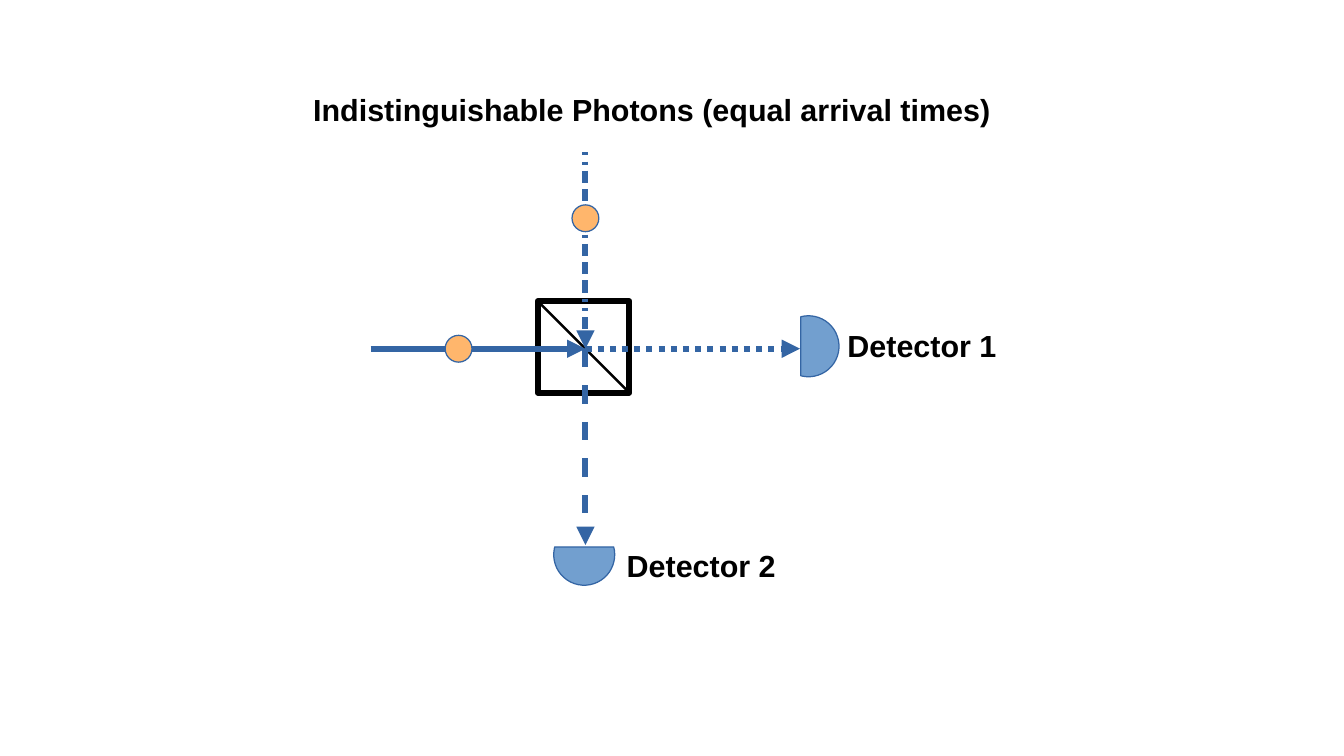
import dataclasses

import lxml.etree
import pptx
import pptx.dml.color
import pptx.enum.shapes
import pptx.enum.text
import pptx.oxml.ns
import pptx.util

Inches = pptx.util.Inches
Pt = pptx.util.Pt
Shape = pptx.enum.shapes.MSO_SHAPE


@dataclasses.dataclass(frozen=True)
class Theme:
    ink: str = "000000"
    beam: str = "3465A4"
    detector: str = "729FCF"
    photon: str = "FFB66C"
    font: str = "Arial"
    text_size: float = 18
    heavy: float = 3.6
    thin: float = 1.45
    hairline: float = 0


THEME = Theme()

# Dash and gap lengths in multiples of the line width
DOTTED = [(1, 1)]
DASHED = [(3, 3)]
DOT_DASH = [(0.5, 1)] * 2 + [(2, 1)] * 3


def color(value):
    return pptx.dml.color.RGBColor.from_string(value)


def add_xml(parent, tag, **attributes):
    return lxml.etree.SubElement(parent, pptx.oxml.ns.qn(tag), attributes)


def set_line(shape, line_color, width):
    shape.line.color.rgb = color(line_color)
    shape.line.width = Pt(width)


def add_line(page, start, end, line_color, width, dashes=(), arrow=False):
    line = page.shapes.add_connector(
        pptx.enum.shapes.MSO_CONNECTOR.STRAIGHT,
        *(Inches(value) for value in (*start, *end)))
    set_line(line, line_color, width)
    outline = line.line._get_or_add_ln()
    if dashes:
        pattern = add_xml(outline, "a:custDash")
        for dash, gap in dashes:
            add_xml(pattern, "a:ds", d=str(int(dash * 100000)),
                    sp=str(int(gap * 100000)))
    add_xml(outline, "a:round")
    if arrow:
        add_xml(outline, "a:tailEnd", type="triangle")
    add_xml(line._element.spPr, "a:effectLst")


def add_beam(page, start, end, dashes=()):
    add_line(page, start, end, THEME.beam, THEME.heavy, dashes, arrow=True)


def add_part(page, kind, left, top, size, fill, line_color, width):
    part = page.shapes.add_shape(
        kind, Inches(left), Inches(top), Inches(size), Inches(size))
    part.shadow.inherit = False
    if fill:
        part.fill.solid()
        part.fill.fore_color.rgb = color(fill)
    else:
        part.fill.background()
    set_line(part, line_color, width)
    return part


def add_label(page, left, top, width, text):
    box = page.shapes.add_textbox(
        Inches(left), Inches(top), Inches(width), Inches(0.38))
    frame = box.text_frame
    frame.word_wrap = False
    frame.auto_size = pptx.enum.text.MSO_AUTO_SIZE.SHAPE_TO_FIT_TEXT
    frame.text = text
    font = frame.paragraphs[0].runs[0].font
    font.name = THEME.font
    font.size = Pt(THEME.text_size)
    font.bold = True
    font.color.rgb = color(THEME.ink)


def add_splitter(page, left, top, size):
    square = add_part(page, Shape.RECTANGLE, left, top, size, None,
                      THEME.ink, THEME.heavy)
    add_xml(square.line._get_or_add_ln(), "a:round")
    add_line(page, (left, top), (left + size, top + size),
             THEME.ink, THEME.thin)


def add_detector(page, left, top, rotation):
    detector = add_part(page, Shape.CHORD, left, top, 0.5, THEME.detector,
                        THEME.beam, THEME.hairline)
    detector.adjustments[0] = 164.12
    detector.adjustments[1] = 73.99
    detector.rotation = rotation


def add_photon(page, center_x, center_y, size=0.22):
    add_part(page, Shape.OVAL, center_x - size / 2, center_y - size / 2, size,
             THEME.photon, THEME.beam, THEME.hairline)


def draw_experiment(page, left, top):
    # Beams cross at the middle of the splitter
    cross_x, cross_y = left + 2.33, top + 2.16
    across, down = 1.76, 1.61
    crossing = (cross_x, cross_y)

    # Splitter and beams
    add_splitter(page, cross_x - 0.39, cross_y - 0.39, 0.75)
    add_beam(page, (cross_x - across, cross_y), crossing)
    add_beam(page, crossing, (cross_x + across, cross_y), DOTTED)
    add_beam(page, crossing, (cross_x, cross_y + down), DASHED)

    # Detectors with labels
    add_detector(page, cross_x + 1.58, cross_y - 0.27, 341.6)
    add_detector(page, cross_x - 0.26, cross_y + 1.44, 71.5)
    add_label(page, cross_x + 2.05, cross_y - 0.23, 1.42, "Detector 1")
    add_label(page, cross_x + 0.24, cross_y + 1.58, 1.42, "Detector 2")

    # Second input beam and both photons
    add_beam(page, (cross_x, cross_y - down), crossing, DOT_DASH)
    add_photon(page, cross_x - 1.04, cross_y)
    add_photon(page, cross_x, cross_y - 1.07)

    # Heading
    add_label(page, left, top, 5.76,
              "Indistinguishable Photons (equal arrival times)")


def main():
    deck = pptx.Presentation()
    deck.slide_width = Inches(11.02)
    deck.slide_height = Inches(6.2)
    page = deck.slides.add_slide(deck.slide_layouts[6])
    draw_experiment(page, 2.47, 0.7)
    deck.save("out.pptx")


if __name__ == "__main__":
    main()
